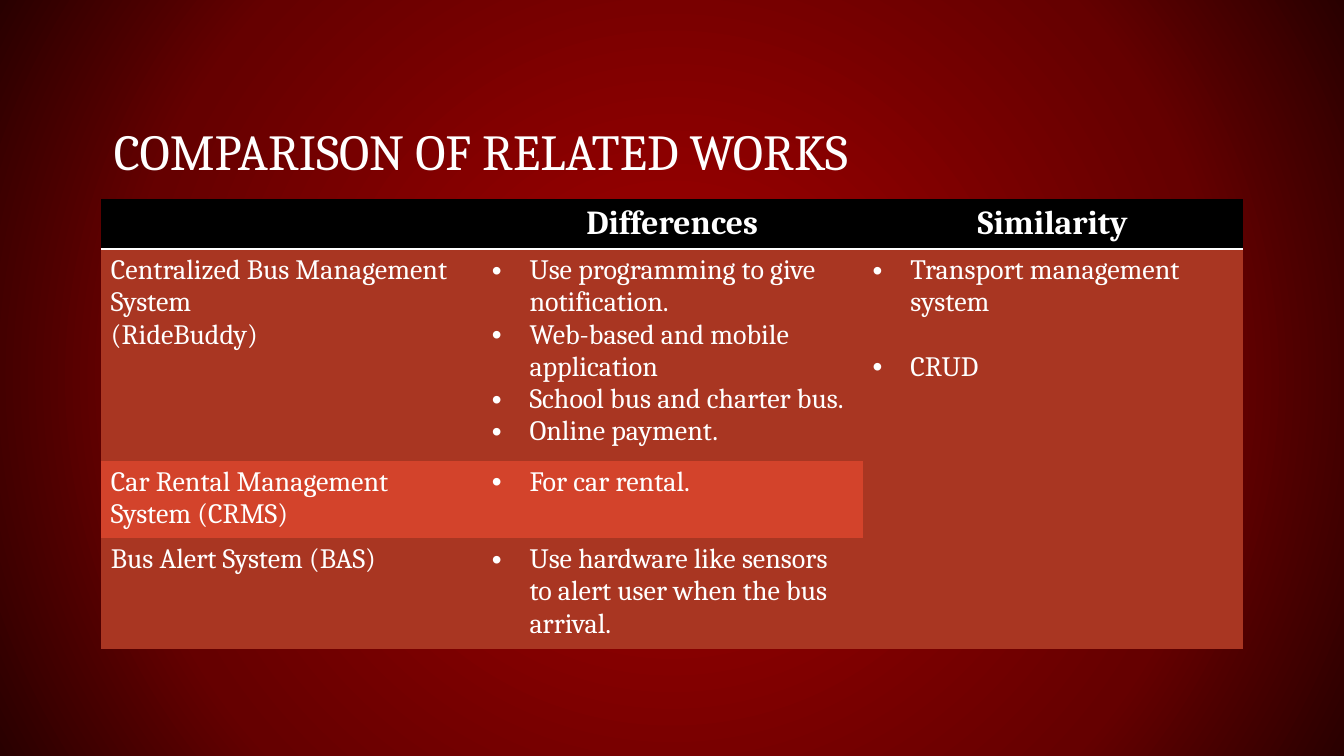
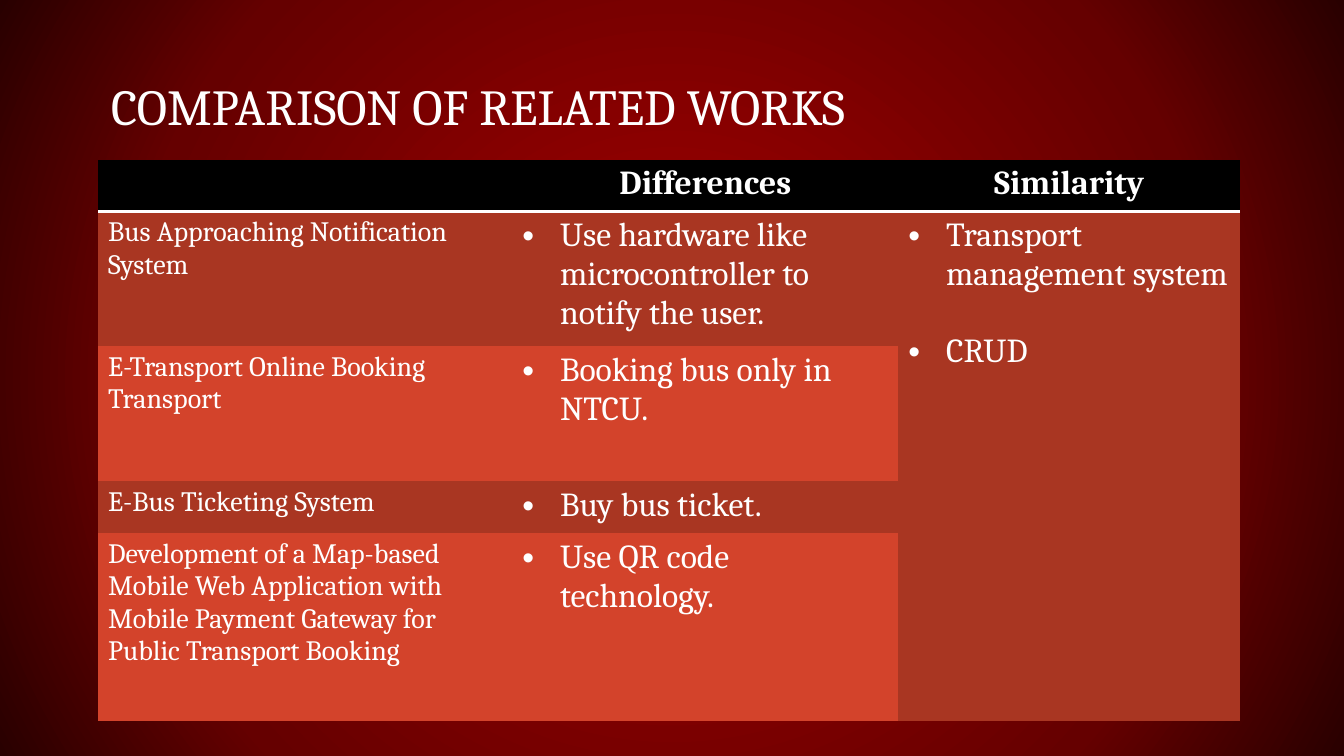
from lxml import etree
from pptx import Presentation
from pptx.dml.color import RGBColor
from pptx.enum.text import MSO_ANCHOR, PP_ALIGN
from pptx.oxml import parse_xml
from pptx.oxml.ns import qn
from pptx.util import Cm, Pt

CENTER = PP_ALIGN.CENTER
LEFT = PP_ALIGN.LEFT
BOTTOM = MSO_ANCHOR.BOTTOM
WHITE = RGBColor(0xFF, 0xFF, 0xFF)
BLACK = RGBColor(0, 0, 0)
DARK = RGBColor(0xA9, 0x36, 0x22)
LIGHT = RGBColor(0xD3, 0x43, 0x2B)
GLOW = [
    (17, RGBColor(0x96, 0, 0)),
    (71, RGBColor(0x65, 0, 0)),
    (100, RGBColor(0x29, 0, 0)),
]
FONT = "Cambria"
SPACE = 'xmlns:a="http://schemas.openxmlformats.org/drawingml/2006/main"'
PLAIN = "{2D5ABB26-0587-4C30-8999-92F81FD0307C}"
TITLE = "COMPARISON OF RELATED WORKS"
HEADS = ["", "Differences", "Similarity"]
SHARED = ["Transport management system", "CRUD"]

PAGES = [
    {
        "left": 2.54, "title": 1.35, "top": 5.01, "size": 20, "gap": 23,
        "cols": [9.6, 9.6, 9.58],
        "rows": [1.22, 5.13, 1.89, 2.69],
        "works": [
            (["Centralized Bus Management System", "(RideBuddy)"],
             ["Use programming to give notification.",
              "Web-based and mobile application",
              "School bus and charter bus.",
              "Online payment."]),
            (["Car Rental Management System (CRMS)"], ["For car rental."]),
            (["Bus Alert System (BAS)"],
             ["Use hardware like sensors to alert user when the bus arrival."]),
        ],
    },
    {
        "left": 2.47, "title": 0.2, "top": 4.02, "size": 24, "gap": 27.5,
        "cols": [10.44, 9.73, 8.61],
        "rows": [1.31, 3.4, 3.4, 1.31, 4.73],
        "works": [
            (["Bus Approaching Notification System"],
             ["Use hardware like microcontroller to notify the user."]),
            (["E-Transport Online Booking Transport"],
             ["Booking bus only in NTCU."]),
            (["E-Bus Ticketing System"], ["Buy bus ticket."]),
            (["Development of a Map-based Mobile Web Application with "
              "Mobile Payment Gateway for Public Transport Booking"],
             ["Use QR code technology."]),
        ],
    },
]


def write(frame, lines, size, bold=False, align=LEFT, dots=False, gap=0):
    for i, line in enumerate(lines):
        para = frame.add_paragraph() if i else frame.paragraphs[0]
        para.alignment = align
        if dots:
            props = para._p.get_or_add_pPr()
            props.set("marL", str(Cm(0.95)))
            props.set("indent", str(-Cm(0.95)))
            etree.SubElement(props, qn("a:buFont")).set("typeface", "Arial")
            etree.SubElement(props, qn("a:buChar")).set("char", "•")
        if i and gap:
            para.space_before = Pt(gap)
        run = para.add_run()
        run.text = line
        run.font.name = FONT
        run.font.size = Pt(size)
        run.font.bold = bold
        run.font.color.rgb = WHITE


def paint(cell, color):
    cell.fill.solid()
    cell.fill.fore_color.rgb = color


deck = Presentation()
deck.slide_width = Cm(33.87)
deck.slide_height = Cm(19.05)

master = deck.slide_master
master.background.fill.gradient()
grad = master.element.find(".//" + qn("p:bgPr") + "/" + qn("a:gradFill"))
stops = "".join(
    f'<a:gs pos="{pos * 1000}"><a:srgbClr val="{color}"/></a:gs>'
    for pos, color in GLOW
)
grad.getparent().replace(grad, parse_xml(
    f'<a:gradFill {SPACE} rotWithShape="1"><a:gsLst>{stops}</a:gsLst>'
    '<a:path path="circle"><a:fillToRect l="50000" t="50000" r="50000" '
    'b="50000"/></a:path></a:gradFill>'))

for page in PAGES:
    slide = deck.slides.add_slide(deck.slide_layouts[6])
    left, wide = Cm(page["left"]), Cm(28.78)

    box = slide.shapes.add_textbox(left, Cm(page["title"]), wide, Cm(3.38))
    text = box.text_frame
    text.word_wrap = True
    text.vertical_anchor = BOTTOM
    text.margin_left = text.margin_right = Cm(0.33)
    text.margin_top = text.margin_bottom = Cm(0.18)
    write(text, [TITLE], 36)
    text.paragraphs[0].line_spacing = 0.8

    rows, cols = page["rows"], page["cols"]
    grid = slide.shapes.add_table(
        len(rows), len(cols), left, Cm(page["top"]), wide, Cm(sum(rows)))
    grid.element.find(".//" + qn("a:tableStyleId")).text = PLAIN
    table = grid.table
    for col, width in zip(table.columns, cols):
        col.width = Cm(width)
    for row, height in zip(table.rows, rows):
        row.height = Cm(height)

    for i, head in enumerate(HEADS):
        cell = table.cell(0, i)
        paint(cell, BLACK)
        if head:
            write(cell.text_frame, [head], 24, bold=True, align=CENTER)
        cell._tc.get_or_add_tcPr().insert(0, parse_xml(
            f'<a:lnB {SPACE} w="{Pt(2)}"><a:solidFill>'
            f'<a:srgbClr val="{WHITE}"/></a:solidFill></a:lnB>'))

    size = page["size"]
    for i, (name, points) in enumerate(page["works"], 1):
        color = DARK if i % 2 else LIGHT
        for j in range(2):
            paint(table.cell(i, j), color)
        write(table.cell(i, 0).text_frame, name, 20)
        write(table.cell(i, 1).text_frame, points, size, dots=True)

    both = table.cell(1, 2)
    both.merge(table.cell(len(rows) - 1, 2))
    paint(both, DARK)
    write(both.text_frame, SHARED, size, dots=True, gap=page["gap"])

deck.save("out.pptx")
